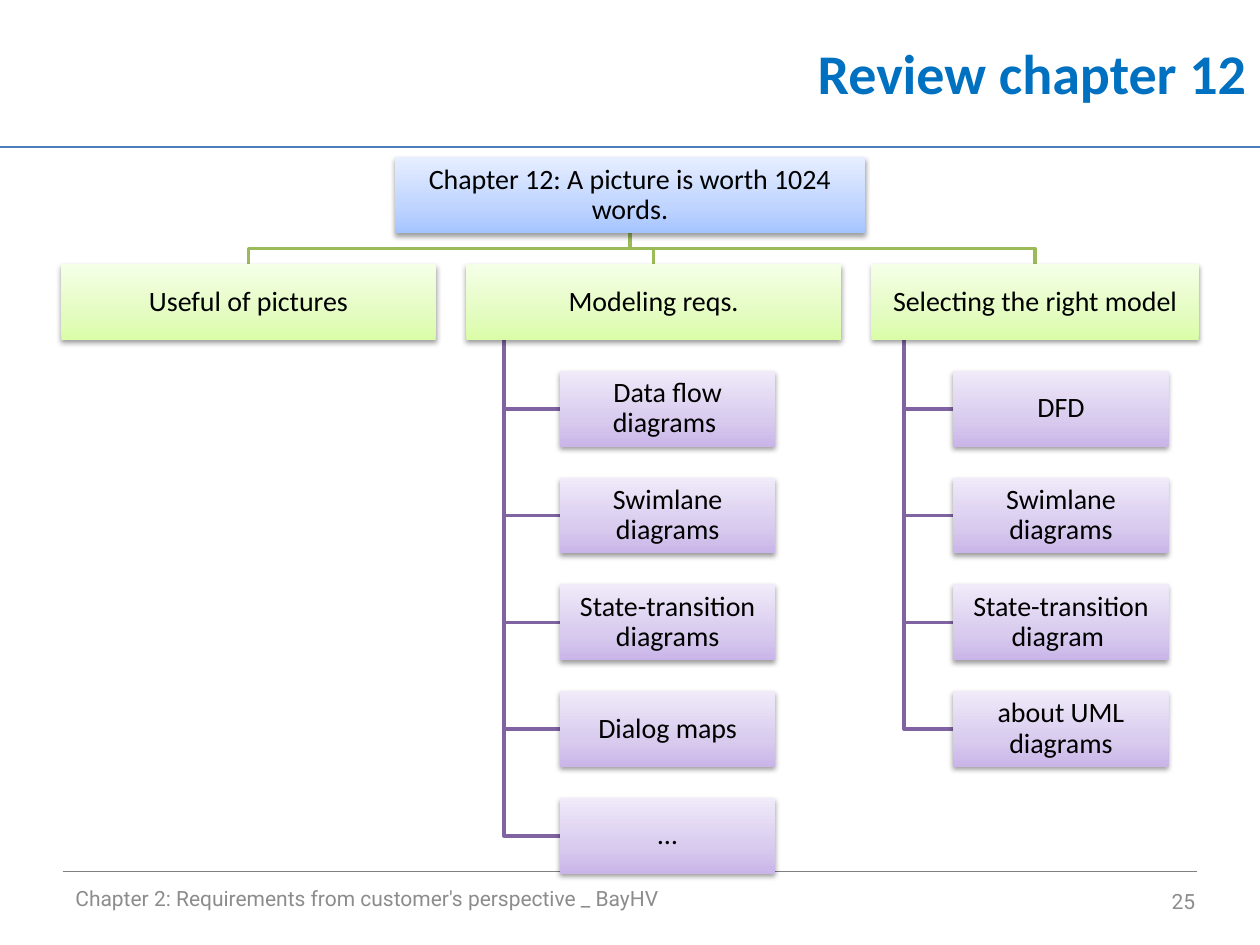
from copy import deepcopy

from lxml.etree import SubElement
from pptx import Presentation
from pptx.dml.color import RGBColor
from pptx.enum.shapes import MSO_CONNECTOR as Connector, MSO_SHAPE as Shape
from pptx.enum.text import MSO_ANCHOR as Anchor, PP_ALIGN as Align
from pptx.oxml.ns import qn
from pptx.util import Pt

BLACK = RGBColor(0x00, 0x00, 0x00)
TITLE_BLUE = RGBColor(0x00, 0x70, 0xC0)
RULE_BLUE = RGBColor(0x4B, 0x7E, 0xBC)
RULE_GRAY = RGBColor(0x80, 0x80, 0x80)
FOOTER_GRAY = RGBColor(0x8C, 0x8C, 0x8C)
GREEN = RGBColor(0x9B, 0xBB, 0x59)
PURPLE = RGBColor(0x80, 0x64, 0xA2)

# Gradient colours from the bottom of a box to its top
STOP_POSITIONS = (0, 0.35, 1)
ROOT_FILL = (RGBColor(0xA4, 0xC4, 0xFF), RGBColor(0xBF, 0xD4, 0xFF), RGBColor(0xE6, 0xEE, 0xFF))
TOPIC_FILL = (RGBColor(0xDA, 0xFD, 0xA7), RGBColor(0xE4, 0xFC, 0xC2), RGBColor(0xF5, 0xFF, 0xE7))
LEAF_FILL = (RGBColor(0xC9, 0xB5, 0xE8), RGBColor(0xD8, 0xCB, 0xEE), RGBColor(0xF0, 0xEA, 0xF9))

SLIDE_WIDTH, SLIDE_HEIGHT = 720, 540
CENTER = SLIDE_WIDTH / 2
TREE_TOP, BOX_HEIGHT, ROW_PITCH = 90, 43.2, 61
ROOT_WIDTH, LEAF_WIDTH, TOPIC_GAP = 269, 123, 17.5

ROOT = "Chapter 12: A picture is worth 1024 words."
TOPICS = [
    ("Useful of pictures", 214, []),
    ("Modeling reqs.", 214, ["Data flow diagrams ", "Swimlane diagrams",
                             "State-transition diagrams", "Dialog maps", "…"]),
    ("Selecting the right model", 187, ["DFD", "Swimlane diagrams",
                                        "State-transition diagram ", "about UML diagrams"]),
]


class SlideBuilder:
    """Holds the fonts and the current slide, and draws each kind of element."""

    heading_font = "Calibri"
    footer_font = "Roboto"

    def __init__(self, slide):
        self.slide = slide
        self.shapes = slide.shapes

    def set_text(self, frame, text, align, color, **font_values):
        frame.word_wrap = True
        frame.vertical_anchor = Anchor.MIDDLE
        paragraph = frame.paragraphs[0]
        paragraph.alignment = align
        run = paragraph.add_run()
        run.text = text
        for name, value in font_values.items():
            setattr(run.font, name, value)
        run.font.color.rgb = color
        return paragraph

    def title(self, text, left, top, width, height):
        heading = self.shapes.title
        place = dict(left=left, top=top, width=width, height=height)
        for name, value in place.items():
            setattr(heading, name, Pt(value))
        self.set_text(heading.text_frame, text, Align.RIGHT, TITLE_BLUE,
                      name=self.heading_font, size=Pt(32), bold=True)

    def footer(self, text, left, top, width, align):
        note = self.shapes.add_textbox(Pt(left), Pt(top), Pt(width), Pt(28.8))
        self.set_text(note.text_frame, text, align, FOOTER_GRAY,
                      name=self.footer_font, size=Pt(12))

    def rule(self, left, right, y, color):
        line = self.shapes.add_connector(Connector.STRAIGHT, Pt(left), Pt(y), Pt(right), Pt(y))
        line.line.color.rgb = color
        line.line.width = Pt(0.75)
        SubElement(line._element.spPr, qn("a:effectLst"))

    def branch(self, points, color):
        start, *rest = [(Pt(x), Pt(y)) for x, y in points]
        outline = self.shapes.build_freeform(*start)
        outline.add_line_segments(rest, close=False)
        elbow = outline.convert_to_shape()
        elbow.fill.background()
        elbow.line.color.rgb = color
        elbow.line.width = Pt(2)
        elbow.shadow.inherit = False

    def box(self, text, left, top, width, colors):
        node = self.shapes.add_shape(Shape.RECTANGLE, Pt(left), Pt(top), Pt(width), Pt(BOX_HEIGHT))
        self.shade(node, colors)
        node.line.fill.background()
        self.drop_shadow(node)
        frame = node.text_frame
        for side in ("left", "top", "right", "bottom"):
            setattr(frame, f"margin_{side}", Pt(0.8))
        paragraph = self.set_text(frame, text, Align.CENTER, BLACK,
                                  name=self.heading_font, size=Pt(16))
        paragraph.line_spacing = 0.9

    def shade(self, node, colors):
        """Fill with a three-stop gradient running upwards."""
        node.fill.gradient()
        node.fill.gradient_angle = 90
        stop_list = node._element.spPr.find(qn("a:gradFill")).find(qn("a:gsLst"))
        stop_list.append(deepcopy(stop_list[-1]))
        for stop, position, color in zip(node.fill.gradient_stops, STOP_POSITIONS, colors):
            stop.position = position
            stop.color.rgb = color

    def drop_shadow(self, node):
        node.shadow.inherit = False
        effects = node._element.spPr.find(qn("a:effectLst"))
        shadow = SubElement(effects, qn("a:outerShdw"), blurRad=str(int(Pt(3.1))),
                            dist=str(int(Pt(1.6))), dir="5400000", rotWithShape="0")
        tint = SubElement(shadow, qn("a:srgbClr"), val=str(BLACK))
        SubElement(tint, qn("a:alpha"), val="38000")


def row_top(row):
    return TREE_TOP + row * ROW_PITCH


def draw_tree(builder):
    root_bottom = row_top(0) + BOX_HEIGHT
    topic_top = row_top(1)
    bus_y = (root_bottom + topic_top) / 2
    boxes = [(ROOT, CENTER - ROOT_WIDTH / 2, row_top(0), ROOT_WIDTH, ROOT_FILL)]

    row_width = sum(width for _, width, _ in TOPICS) + TOPIC_GAP * (len(TOPICS) - 1)
    left = CENTER - row_width / 2
    for topic, width, leaves in TOPICS:
        middle = left + width / 2
        builder.branch([(CENTER, root_bottom), (CENTER, bus_y),
                        (middle, bus_y), (middle, topic_top)], GREEN)
        boxes.append((topic, left, topic_top, width, TOPIC_FILL))

        stem_x = left + 0.1 * width
        leaf_left = left + 0.25 * width
        for row, leaf in enumerate(leaves, start=2):
            leaf_middle = row_top(row) + BOX_HEIGHT / 2
            builder.branch([(stem_x, topic_top + BOX_HEIGHT), (stem_x, leaf_middle),
                            (leaf_left, leaf_middle)], PURPLE)
            boxes.append((leaf, leaf_left, row_top(row), LEAF_WIDTH, LEAF_FILL))
        left += width + TOPIC_GAP

    for box in boxes:
        builder.box(*box)


def main():
    deck = Presentation()
    deck.slide_width, deck.slide_height = Pt(SLIDE_WIDTH), Pt(SLIDE_HEIGHT)
    title_only = deck.slide_layouts[5]
    builder = SlideBuilder(deck.slides.add_slide(title_only))

    builder.rule(0, SLIDE_WIDTH, 84, RULE_BLUE)
    builder.rule(36, 684, 498, RULE_GRAY)
    builder.title("Review chapter 12", 209, 0, 510.5, 83)
    builder.footer("Chapter 2: Requirements from customer's perspective _ BayHV",
                   36, 499, 480, Align.LEFT)
    builder.footer("25", 522, 500.5, 168, Align.RIGHT)
    draw_tree(builder)
    deck.save("out.pptx")


if __name__ == "__main__":
    main()
